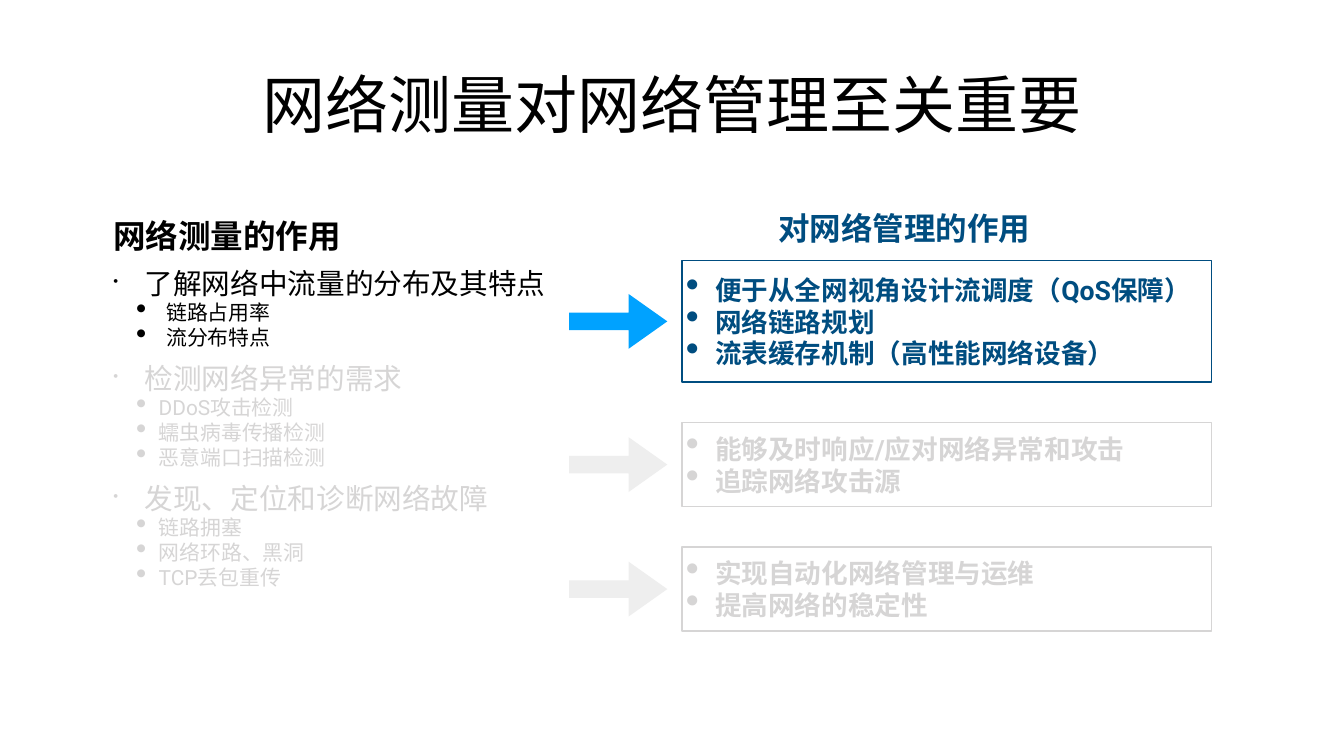
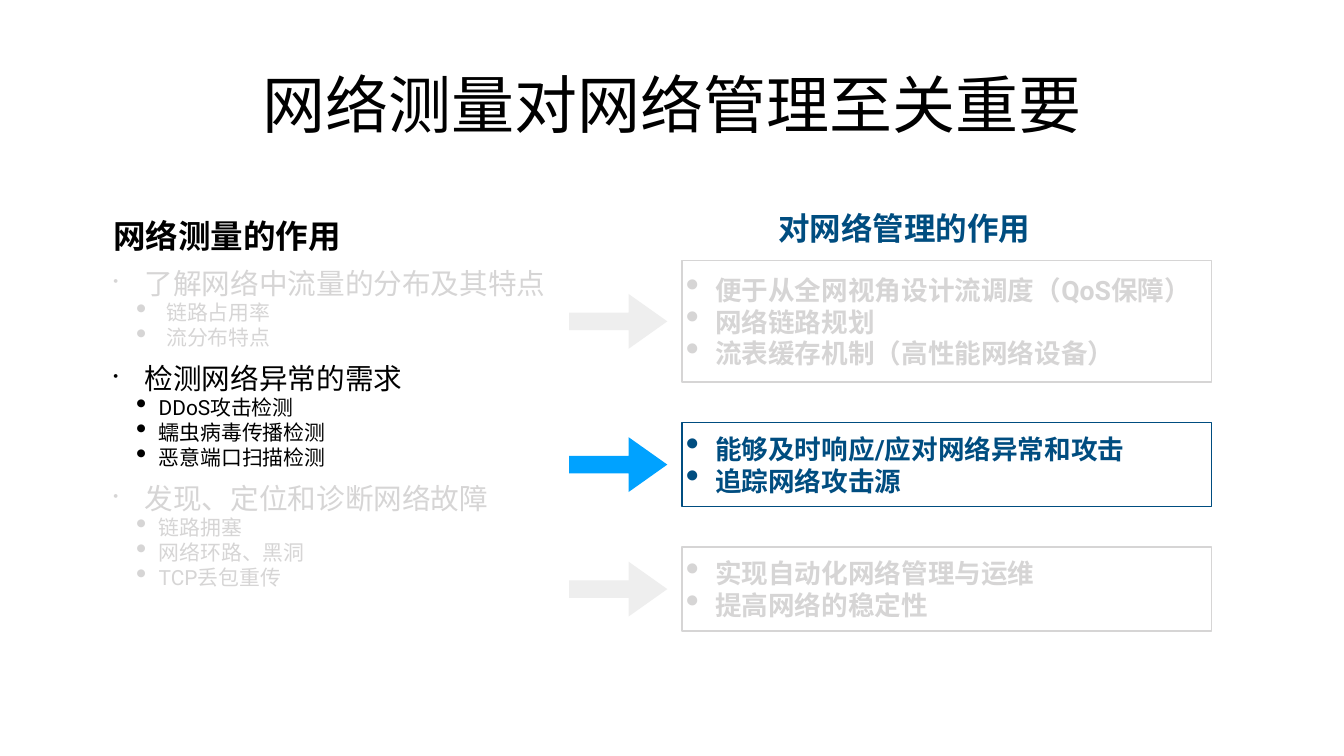
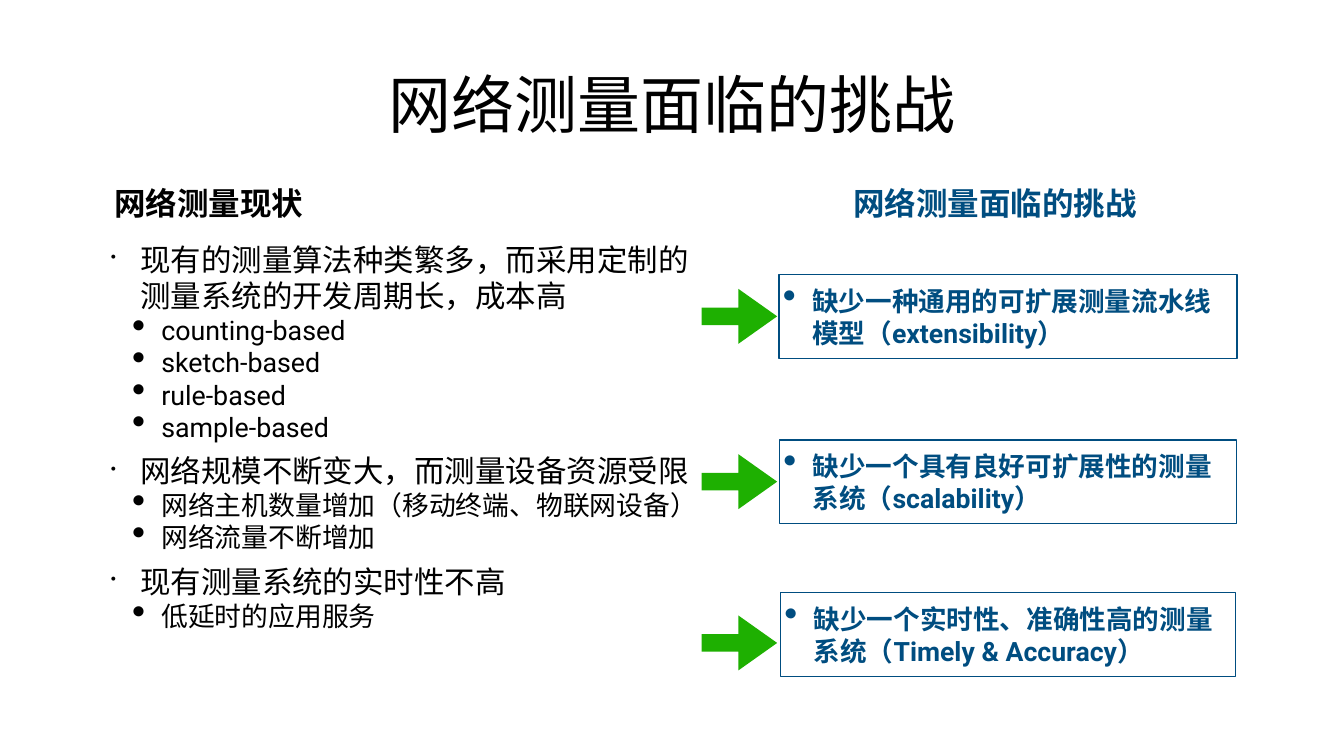
from dataclasses import dataclass, replace

from lxml.etree import SubElement
from pptx import Presentation
from pptx.dml.color import RGBColor
from pptx.enum.shapes import MSO_SHAPE as Shape
from pptx.enum.text import MSO_ANCHOR as Anchor, MSO_AUTO_SIZE as AutoSize, PP_ALIGN as Align
from pptx.oxml.ns import qn
from pptx.util import Inches, Pt

FONT = "Roboto"
COLUMNS, ROWS = 80, 45
CELL = Inches(1) // 3
INSET = Inches(0.08)

BLACK = RGBColor(0x00, 0x00, 0x00)
NAVY = RGBColor(0x00, 0x4D, 0x80)
BLUE = RGBColor(0x00, 0xA2, 0xFF)
GREEN = RGBColor(0x1E, 0xB0, 0x01)
FADED = RGBColor(0xD6, 0xD5, 0xD5)
FADED_FILL = RGBColor(0xEE, 0xEE, 0xEE)

BIG_DOT, SMALL_DOT = 145, 50
ARROW_HEIGHT = 3.27
HEADING_SIZE = (26.46, 3.09)


@dataclass(frozen=True)
class Style:
    """Look of a paragraph; margin and hang are in columns, dot is a percentage."""
    size: float
    color: RGBColor = BLACK
    bold: bool = False
    align: Align = Align.LEFT
    level: int = 0
    margin: float = 0
    hang: float = 0
    dot: int = 0
    before: float = 0


TITLE = Style(90, align=Align.CENTER)
HEADING = Style(45, bold=True)
EFFECT_HEADING = replace(HEADING, color=NAVY, align=Align.CENTER)
EFFECT = Style(38, NAVY, bold=True, margin=1.74, hang=1.74, dot=BIG_DOT)

ROLE_HEADING = Style(46.5, bold=True)
ROLE = Style(40.9, margin=1.86, hang=1.86, dot=SMALL_DOT, before=15)
ROLE_DETAIL = Style(29.8, level=1, margin=2.7, hang=1.35, dot=BIG_DOT)
WIDE_DETAIL = replace(ROLE_DETAIL, margin=3.15, hang=1.8)

STATUS = Style(43.5, margin=1.74, hang=1.74, dot=SMALL_DOT, before=14)
STATUS_DETAIL = Style(38.3, level=1, margin=3, hang=1.74, dot=BIG_DOT)

ROLES = [
    ("了解网络中流量的分布及其特点", WIDE_DETAIL, ["链路占用率", "流分布特点"],
     ["便于从全网视角设计流调度（QoS保障）", "网络链路规划", "流表缓存机制（高性能网络设备）"]),
    ("检测网络异常的需求", ROLE_DETAIL, ["DDoS攻击检测", "蠕虫病毒传播检测", "恶意端口扫描检测"],
     ["能够及时响应/应对网络异常和攻击", "追踪网络攻击源"]),
    ("发现、定位和诊断网络故障", ROLE_DETAIL, ["链路拥塞", "网络环路、黑洞", "TCP丢包重传"],
     ["实现自动化网络管理与运维", "提高网络的稳定性"]),
]

STATUSES = [
    ("现有的测量算法种类繁多，而采用定制的测量系统的开发周期长，成本高",
     ["counting-based", "sketch-based", "rule-based", "sample-based"]),
    ("网络规模不断变大，而测量设备资源受限",
     ["网络主机数量增加（移动终端、物联网设备）", "网络流量不断增加"]),
    ("现有测量系统的实时性不高", ["低延时的应用服务"]),
]

# text, top of the box, width of the box, middle of the arrow
CHALLENGES = [
    ("缺少一种通用的可扩展测量流水线模型（extensibility）", 16.35, 27.27, 18.83),
    ("缺少一个具有良好可扩展性的测量系统（scalability）", 26.19, 27.21, 28.67),
    ("缺少一个实时性、准确性高的测量系统（Timely & Accuracy）", 35.28, 27.09, 38.27),
]


def cells(*counts):
    return [round(count * CELL) for count in counts]


class Deck:
    def __init__(self):
        self.deck = Presentation()
        self.deck.slide_width, self.deck.slide_height = cells(COLUMNS, ROWS)
        self.page = None

    def new_page(self, title):
        self.page = self.deck.slides.add_slide(self.deck.slide_layouts[6])
        width = 51.2
        self.text((COLUMNS - width) / 2, 1.17, width, 9.96, [(title, TITLE)], Anchor.MIDDLE)

    def text(self, left, top, width, height, lines, anchor=Anchor.TOP):
        box = self.page.shapes.add_textbox(*cells(left, top, width, height))
        self.fill_frame(box.text_frame, lines, anchor)

    def heading(self, left, top, text, style):
        self.text(left, top, *HEADING_SIZE, [(text, style)], Anchor.MIDDLE)

    def effect_box(self, left, top, width, height, texts, color=NAVY):
        box = self.page.shapes.add_shape(Shape.RECTANGLE, *cells(left, top, width, height))
        box.shadow.inherit = False
        box.fill.background()
        box.line.color.rgb = color
        box.line.width = Pt(2)
        style = replace(EFFECT, color=color)
        self.fill_frame(box.text_frame, [(text, style) for text in texts], Anchor.MIDDLE)

    def arrow(self, left, middle, width, color):
        place = cells(left, middle - ARROW_HEIGHT / 2, width, ARROW_HEIGHT)
        arrow = self.page.shapes.add_shape(Shape.RIGHT_ARROW, *place)
        arrow.adjustments[0], arrow.adjustments[1] = 0.32, 0.706
        arrow.shadow.inherit = False
        arrow.fill.solid()
        arrow.fill.fore_color.rgb = color
        arrow.line.fill.background()

    def fill_frame(self, frame, lines, anchor):
        frame.word_wrap = True
        frame.auto_size = AutoSize.NONE
        frame.vertical_anchor = anchor
        frame.margin_left = frame.margin_right = INSET
        frame.margin_top = frame.margin_bottom = INSET
        for index, (text, style) in enumerate(lines):
            para = frame.add_paragraph() if index else frame.paragraphs[0]
            self.format_paragraph(para, style)
            if index:
                para.space_before = Pt(style.before)
            span = para.add_run()
            span.text = text
            span.font.size = Pt(style.size)
            span.font.bold = style.bold
            span.font.color.rgb = style.color
            span.font.name = FONT
            SubElement(span._r.get_or_add_rPr(), qn("a:ea"), typeface=FONT)

    def format_paragraph(self, para, style):
        para.alignment = style.align
        para.level = style.level
        if style.dot:
            properties = para._p.get_or_add_pPr()
            margin, hang = cells(style.margin, style.hang)
            properties.set("marL", str(margin))
            properties.set("indent", str(-hang))
            SubElement(properties, qn("a:buSzPct"), val=str(style.dot * 1000))
            SubElement(properties, qn("a:buChar"), char="•")


def add_roles_page(deck, active):
    """Show every role of measurement, with only the active one in full colour."""
    deck.new_page("网络测量对网络管理至关重要")
    lines = [("网络测量的作用", ROLE_HEADING)]
    for index, (role, detail_style, details, _) in enumerate(ROLES):
        color = BLACK if index == active else FADED
        lines.append((role, replace(ROLE, color=color)))
        lines += [(detail, replace(detail_style, color=color)) for detail in details]
    deck.text(6.51, 12.63, 26.58, 26.31, lines)

    top, gap, middles = 15.51, 2.4, []
    for index, (*_, effects) in enumerate(ROLES):
        height = 0.55 + 2.23 * len(effects)
        deck.effect_box(40.59, top, 31.53, height, effects, NAVY if index == active else FADED)
        middles.append(top + height / 2)
        top += height + gap
    deck.heading(40.59, 12, "对网络管理的作用", EFFECT_HEADING)
    for index, middle in enumerate(middles):
        deck.arrow(33.87, middle, 5.85, BLUE if index == active else FADED_FILL)


def add_challenges_page(deck):
    title = "网络测量面临的挑战"
    deck.new_page(title)
    lines = []
    for status, details in STATUSES:
        lines.append((status, STATUS))
        lines += [(detail, STATUS_DETAIL) for detail in details]
    deck.text(6.36, 14.1, 36.06, 26.22, lines)

    center = COLUMNS * 0.75
    for text, top, width, _ in CHALLENGES:
        deck.effect_box(center - width / 2, top, width, 4.98, [text])
    deck.heading(45.99, 10.56, title, EFFECT_HEADING)
    deck.heading(6.57, 10.56, "网络测量现状", HEADING)
    for *_, middle in CHALLENGES:
        deck.arrow(41.76, middle, 4.5, GREEN)


def main():
    deck = Deck()
    for active in (0, 1):
        add_roles_page(deck, active)
    add_challenges_page(deck)
    deck.deck.save("out.pptx")


if __name__ == "__main__":
    main()
